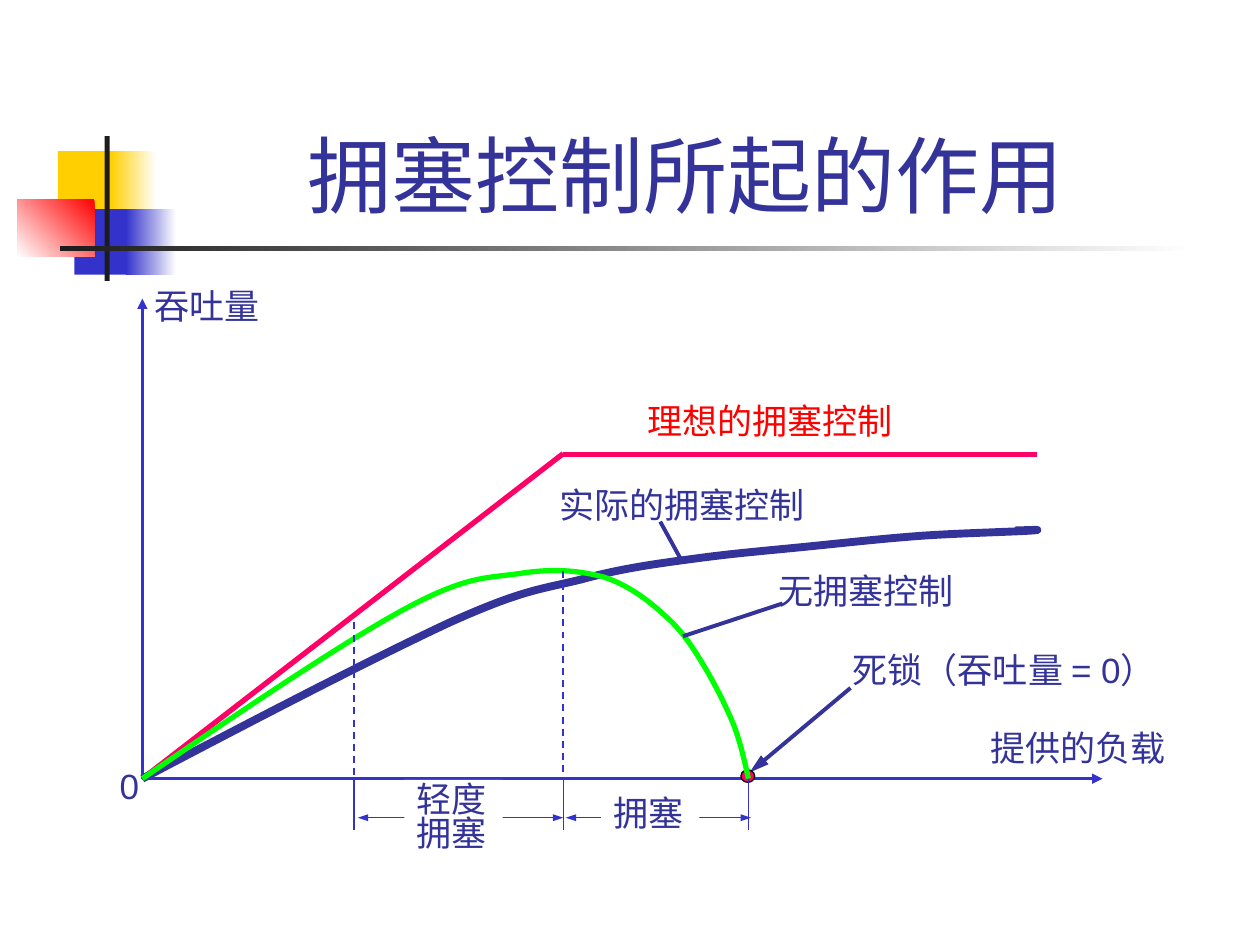
"""Build a slide charting throughput against offered load under congestion control."""
from dataclasses import dataclass
from typing import Optional

from lxml.etree import SubElement
from pptx import Presentation
from pptx.dml.color import RGBColor
from pptx.enum.dml import MSO_LINE
from pptx.enum.shapes import MSO_CONNECTOR, MSO_SHAPE
from pptx.enum.text import MSO_ANCHOR, MSO_AUTO_SIZE, PP_ALIGN
from pptx.oxml.ns import qn
from pptx.util import Cm, Pt

WHITE = RGBColor(0xFF, 0xFF, 0xFF)
BLACK = RGBColor(0x00, 0x00, 0x00)
CHARCOAL = RGBColor(0x1C, 0x1C, 0x1C)
YELLOW = RGBColor(0xFF, 0xCF, 0x01)
RED = RGBColor(0xFF, 0x00, 0x00)
PINK = RGBColor(0xFF, 0x00, 0x66)
GREEN = RGBColor(0x00, 0xFF, 0x00)
BLUE = RGBColor(0x33, 0x33, 0xCC)
NAVY = RGBColor(0x33, 0x33, 0x99)

AXIS_X, AXIS_Y = 1.13, 6.18
MILD_X, PEAK_X, DEADLOCK_X = 2.81, 4.47, 5.94
TICK_END, SPAN_Y = 6.59, 6.49

Point = tuple[float, float]
Box = tuple[float, float, float, float]


@dataclass
class Block:
    box: Box
    color: RGBColor
    end_color: Optional[RGBColor] = None
    angle: float = 180
    outline: Optional[RGBColor] = None
    preset: MSO_SHAPE = MSO_SHAPE.RECTANGLE


@dataclass
class Line:
    start: Point
    end: Point
    color: RGBColor
    width: float
    head: bool = False
    tail: bool = False
    dashed: bool = False
    arrow_width: str = "med"
    arrow_length: str = "med"


@dataclass
class Label:
    box: Box
    lines: tuple[str, ...]
    color: RGBColor = NAVY
    size: int = 20
    fill: Optional[RGBColor] = None
    spacing: Optional[float] = None
    title: bool = False


@dataclass
class Curve:
    points: list[Point]
    color: RGBColor
    width: float


def length(inches: float) -> Cm:
    """Convert inches to a Cm length."""
    return Cm(inches * 2.54)


def draw_block(slide, block: Block) -> None:
    """Draw a filled preset shape."""
    shape = slide.shapes.add_shape(block.preset, *map(length, block.box))
    shape.shadow.inherit = False
    if block.end_color is None:
        shape.fill.solid()
        shape.fill.fore_color.rgb = block.color
    else:
        shape.fill.gradient()
        shape.fill.gradient_angle = block.angle
        for stop, color in zip(shape.fill.gradient_stops, (block.color, block.end_color)):
            stop.color.rgb = color
    if block.outline is None:
        shape.line.fill.background()
    else:
        shape.line.color.rgb = block.outline
        shape.line.width = Pt(0.75)


def draw_line(slide, line: Line) -> None:
    """Draw a straight connector with optional arrowheads."""
    connector = slide.shapes.add_connector(
        MSO_CONNECTOR.STRAIGHT, *map(length, line.start + line.end))
    connector.line.color.rgb = line.color
    connector.line.width = Pt(line.width)
    if line.dashed:
        connector.line.dash_style = MSO_LINE.DASH
    outline = connector.line._get_or_add_ln()
    for tag, wanted in (("a:headEnd", line.head), ("a:tailEnd", line.tail)):
        if wanted:
            SubElement(outline, qn(tag), type="triangle",
                       w=line.arrow_width, len=line.arrow_length)
    SubElement(connector._element.spPr, qn("a:effectLst"))


def draw_label(slide, label: Label) -> None:
    """Draw a text box, one paragraph per line."""
    shape = slide.shapes.add_textbox(*map(length, label.box))
    if label.fill is not None:
        shape.fill.solid()
        shape.fill.fore_color.rgb = label.fill
    frame = shape.text_frame
    frame.text = "\n".join(label.lines)
    frame.word_wrap = label.title
    if label.title:
        frame.vertical_anchor = MSO_ANCHOR.BOTTOM
    else:
        frame.auto_size = MSO_AUTO_SIZE.SHAPE_TO_FIT_TEXT
    for paragraph in frame.paragraphs:
        paragraph.alignment = PP_ALIGN.CENTER if label.title else PP_ALIGN.LEFT
        if label.spacing:
            paragraph.line_spacing = label.spacing
        paragraph.font.name = "Arial"
        paragraph.font.size = Pt(label.size)
        paragraph.font.color.rgb = label.color


def draw_curve(slide, curve: Curve) -> None:
    """Draw an open freeform whose point triples become cubic Bezier segments."""
    vertices = [(length(x), length(y)) for x, y in curve.points]
    builder = slide.shapes.build_freeform(*vertices[0])
    builder.add_line_segments(vertices[1:], close=False)
    shape = builder.convert_to_shape()
    segments = list(shape._element.iter(qn("a:lnTo")))
    outline = segments[0].getparent()
    for first in range(0, len(segments), 3):
        bezier = SubElement(outline, qn("a:cubicBezTo"))
        for segment in segments[first:first + 3]:
            bezier.append(segment[0])
            outline.remove(segment)
    shape.shadow.inherit = False
    shape.fill.background()
    shape.line.color.rgb = curve.color
    shape.line.width = Pt(curve.width)


ORIGIN = (AXIS_X, AXIS_Y)
ACTUAL = [ORIGIN, (2.06, 5.69), (2.99, 5.21), (3.57, 4.94), (4.15, 4.68), (4.28, 4.68),
          (4.61, 4.6), (4.93, 4.51), (5.24, 4.47), (5.54, 4.43), (5.84, 4.39), (6.09, 4.37),
          (6.39, 4.34), (6.69, 4.31), (7.05, 4.27), (7.35, 4.25), (7.65, 4.23), (8.08, 4.22),
          (8.2, 4.21), (8.32, 4.2), (8.09, 4.21), (8.06, 4.21)]
UNCONTROLLED = [ORIGIN, (1.92, 5.64), (2.72, 5.1), (3.22, 4.83), (3.72, 4.56), (3.88, 4.59),
                (4.14, 4.55), (4.4, 4.51), (4.6, 4.53), (4.79, 4.58), (4.98, 4.64),
                (5.14, 4.76), (5.27, 4.88), (5.41, 5), (5.5, 5.14), (5.59, 5.29),
                (5.68, 5.44), (5.77, 5.62), (5.83, 5.77), (5.88, 5.91), (5.91, 6.04),
                (DEADLOCK_X, AXIS_Y)]

ITEMS = [
    Block((0.46, 1.2, 0.48, 0.52), YELLOW),
    Block((0.88, 1.2, 0.36, 0.52), WHITE, YELLOW),
    Block((0.59, 1.66, 0.46, 0.52), BLUE),
    Block((1, 1.66, 0.4, 0.52), WHITE, BLUE),
    Block((0.14, 1.58, 0.61, 0.46), RED, WHITE, angle=225),
    Block((0.83, 1.08, 0.04, 1.15), CHARCOAL),
    Block((0.48, 1.95, 9, 0.04), WHITE, CHARCOAL),
    Label((1.18, 0.23, 8.52, 1.6), ("拥塞控制所起的作用",), size=48, title=True),
    Line(ORIGIN, (AXIS_X, 2.37), BLUE, 1.5, tail=True),
    Label((7.76, 5.72, 1.6, 0.44), ("提供的负载",)),
    Label((1.13, 2.21, 1.06, 0.44), ("吞吐量",)),
    Line(ORIGIN, (PEAK_X, 3.6), PINK, 3),
    Line((PEAK_X, 3.61), (8.23, 3.61), PINK, 3),
    Label((5.04, 3.12, 2.15, 0.44), ("理想的拥塞控制",), RED),
    Block((4.84, 6.28, 0.7, 0.32), WHITE),
    Curve(ACTUAL, NAVY, 4.5),
    Label((4.34, 3.79, 2.15, 0.44), ("实际的拥塞控制",)),
    Line((5.24, 4.14), (5.41, 4.45), NAVY, 2.25),
    Line(ORIGIN, (8.75, AXIS_Y), BLUE, 1.5, tail=True),
    Label((0.85, 6.02, 0.35, 0.44), ("0",)),
    Label((6.67, 5.1, 2.74, 0.44), ("死锁（吞吐量 = 0）",)),
    Line((6.75, 5.46), (5.95, 6.13), NAVY, 2.25, tail=True, arrow_length="lg"),
    Block((5.88, 6.11, 0.11, 0.1), PINK, outline=BLACK, preset=MSO_SHAPE.OVAL),
    *(Line((left, SPAN_Y), (right, SPAN_Y), BLUE, 0.75, head=True, tail=True, arrow_width="sm")
      for left, right in ((4.49, 5.96), (2.84, PEAK_X))),
    Curve(UNCONTROLLED, GREEN, 3),
    Label((6.08, 4.47, 1.6, 0.44), ("无拥塞控制",)),
    Line((6.21, 4.79), (5.42, 5.05), NAVY, 2.25),
    *(Line((x, top), (x, AXIS_Y), BLUE, 1, dashed=True)
      for x, top in ((PEAK_X, 4.53), (MILD_X, 4.94))),
    *(Line((x, AXIS_Y), (x, TICK_END), BLUE, 0.75) for x in (PEAK_X, DEADLOCK_X, MILD_X)),
    Label((4.77, 6.23, 0.78, 0.44), ("拥塞",), fill=WHITE),
    Label((3.21, 6.19, 0.78, 0.64), ("轻度", "拥塞"), fill=WHITE, spacing=0.8),
]
PAINTERS = {Block: draw_block, Line: draw_line, Label: draw_label, Curve: draw_curve}


def main() -> None:
    """Create the slide and save it."""
    presentation = Presentation()
    presentation.slide_width, presentation.slide_height = length(10), length(7.5)
    slide = presentation.slides.add_slide(presentation.slide_layouts[6])
    for item in ITEMS:
        PAINTERS[type(item)](slide, item)
    presentation.save("out.pptx")


if __name__ == "__main__":
    main()
